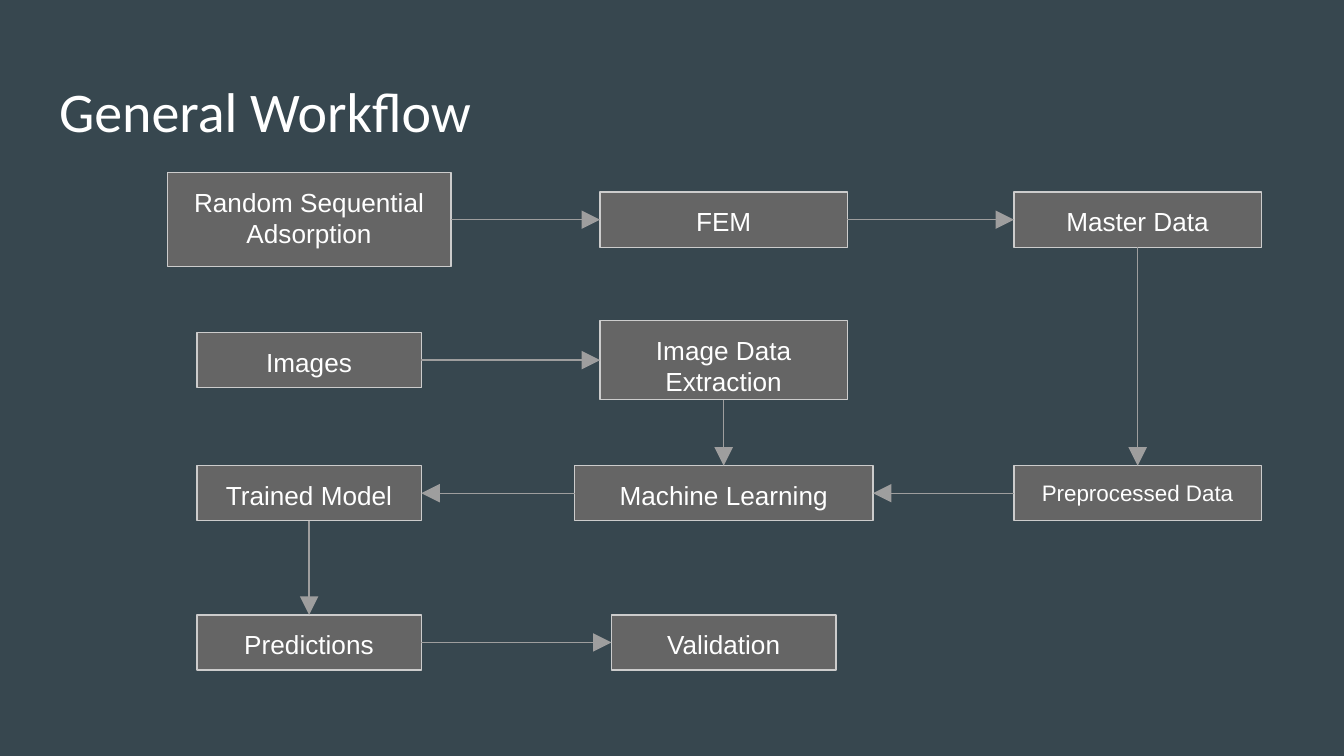
from dataclasses import dataclass

from lxml import etree
from pptx import Presentation, util as u
from pptx.dml.color import RGBColor
from pptx.enum import shapes, text
from pptx.oxml import ns

PX = 4572  # EMU per px, 200 px to the inch
COLUMNS = (460, 1077, 1693)  # box centres
ROWS = (327, 536, 734, 956)
TOP, LEFT, BOTTOM, RIGHT = range(4)  # connection sites of a rectangle


@dataclass(frozen=True)
class Theme:
    background: str = "37474F"
    box: str = "656565"
    border: str = "CCCCCC"
    arrow: str = "9E9E9E"
    text: str = "FFFFFF"
    title_font: str = "Calibri"
    box_font: str = "Arial"
    title_size: int = 30
    box_size: int = 14
    small_size: int = 12
    line_width: float = 0.75


THEME = Theme()


@dataclass(frozen=True)
class Box:
    label: str
    column: int
    row: int
    width: int
    height: int = 82
    size: int = THEME.box_size


@dataclass(frozen=True)
class Arrow:
    start: str
    start_site: int
    end: str
    end_site: int


BOXES = (
    Box("Random Sequential Adsorption", 0, 0, 422, 140),
    Box("FEM", 1, 0, 368),
    Box("Master Data", 2, 0, 368),
    Box("Images", 0, 1, 334),
    Box("Image Data Extraction", 1, 1, 368, 118),
    Box("Trained Model", 0, 2, 334),
    Box("Machine Learning", 1, 2, 444),
    Box("Preprocessed Data", 2, 2, 368, size=THEME.small_size),
    Box("Predictions", 0, 3, 334),
    Box("Validation", 1, 3, 334),
)

ARROWS = (
    Arrow("Random Sequential Adsorption", RIGHT, "FEM", LEFT),
    Arrow("FEM", RIGHT, "Master Data", LEFT),
    Arrow("Master Data", BOTTOM, "Preprocessed Data", TOP),
    Arrow("Images", RIGHT, "Image Data Extraction", LEFT),
    Arrow("Image Data Extraction", BOTTOM, "Machine Learning", TOP),
    Arrow("Preprocessed Data", LEFT, "Machine Learning", RIGHT),
    Arrow("Machine Learning", LEFT, "Trained Model", RIGHT),
    Arrow("Trained Model", BOTTOM, "Predictions", TOP),
    Arrow("Predictions", RIGHT, "Validation", LEFT),
)


def px(value: int) -> u.Emu:
    return u.Emu(value * PX)


def rgb(value: str) -> RGBColor:
    return RGBColor.from_string(value)


def set_text(sp, content: str, font: str, size: int, align) -> None:
    tf = sp.text_frame
    tf.text = content
    tf.word_wrap = True
    tf.auto_size = text.MSO_AUTO_SIZE.NONE
    tf.vertical_anchor = text.MSO_ANCHOR.TOP
    tf.margin_left = tf.margin_top = tf.margin_right = tf.margin_bottom = px(20)
    p = tf.paragraphs[0]
    p.alignment = align
    r = p.runs[0]
    r.font.name = font
    r.font.size = u.Pt(size)
    r.font.color.rgb = rgb(THEME.text)


def set_line(shape, color: str) -> None:
    shape.line.color.rgb = rgb(color)
    shape.line.width = u.Pt(THEME.line_width)


def draw_title(s, content: str) -> None:
    sp = s.shapes.title
    sp.left, sp.top, sp.width, sp.height = px(68), px(94), px(1864), px(126)
    set_text(sp, content, THEME.title_font, THEME.title_size,
             text.PP_ALIGN.LEFT)


def draw_box(s, box: Box):
    sp = s.shapes.add_shape(
        shapes.MSO_SHAPE.RECTANGLE,
        px(COLUMNS[box.column] - box.width // 2),
        px(ROWS[box.row] - box.height // 2),
        px(box.width), px(box.height))
    sp.shadow.inherit = False
    sp.fill.solid()
    sp.fill.fore_color.rgb = rgb(THEME.box)
    set_line(sp, THEME.border)
    set_text(sp, box.label, THEME.box_font, box.size, text.PP_ALIGN.CENTER)
    return sp


def draw_arrow(s, arrow: Arrow, drawn: dict) -> None:
    line = s.shapes.add_connector(shapes.MSO_CONNECTOR.STRAIGHT, 0, 0, 0, 0)
    line.begin_connect(drawn[arrow.start], arrow.start_site)
    line.end_connect(drawn[arrow.end], arrow.end_site)
    set_line(line, THEME.arrow)
    properties = line._element.spPr
    etree.SubElement(properties.find(ns.qn("a:ln")), ns.qn("a:tailEnd"),
                     type="triangle", w="lg", len="lg")
    etree.SubElement(properties, ns.qn("a:effectLst"))


def main() -> None:
    prs = Presentation()
    prs.slide_width, prs.slide_height = px(2000), px(1125)
    s = prs.slides.add_slide(prs.slide_layouts.get_by_name("Title Only"))
    s.background.fill.solid()
    s.background.fill.fore_color.rgb = rgb(THEME.background)

    draw_title(s, "General Workflow")
    drawn = {box.label: draw_box(s, box) for box in BOXES}
    for arrow in ARROWS:
        draw_arrow(s, arrow, drawn)
    prs.save("out.pptx")


if __name__ == "__main__":
    main()
